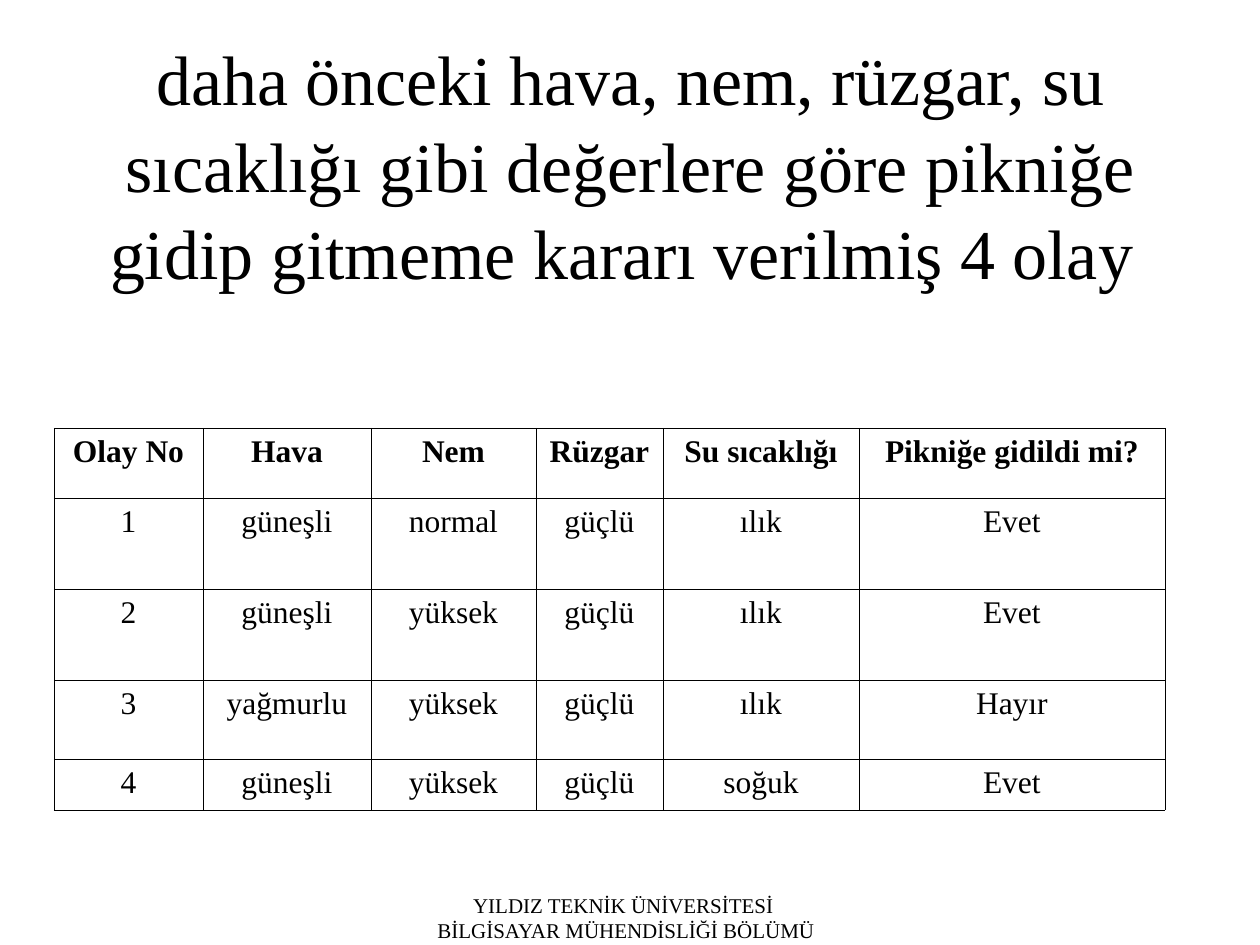
from lxml import etree
from pptx import Presentation
from pptx.dml.color import RGBColor
from pptx.enum.text import MSO_ANCHOR, MSO_AUTO_SIZE, PP_ALIGN
from pptx.oxml.ns import qn
from pptx.util import Emu, Pt

CENTER = PP_ALIGN.CENTER
MIDDLE = MSO_ANCHOR.MIDDLE
NO_AUTOFIT = MSO_AUTO_SIZE.NONE
PX = 914400 / 126
FONT = "Times New Roman"
COLORS = {"text": "000000", "border": "000000"}
INNER_BORDER, OUTER_BORDER = 0.45, 0.34


def px(*lengths):
    return [Emu(round(length * PX)) for length in lengths]


def add_text(paragraph, text, size, bold=False):
    paragraph.alignment = CENTER
    run = paragraph.add_run()
    run.text = text
    run.font.name = FONT
    run.font.size = Pt(size)
    run.font.bold = bold
    run.font.color.rgb = RGBColor.from_string(COLORS["text"])


presentation = Presentation()
presentation.slide_width, presentation.slide_height = px(1260, 945)
slide = presentation.slides.add_slide(presentation.slide_layouts[5])

title = slide.shapes.title
title.left, title.top, title.width, title.height = px(95, 84, 1071, 158)
title.text_frame.auto_size = NO_AUTOFIT
title.text_frame.vertical_anchor = MIDDLE
title_paragraph = title.text_frame.paragraphs[0]
title_paragraph.line_spacing = 1.04
add_text(
    title_paragraph,
    "daha önceki hava, nem, rüzgar, su sıcaklığı gibi değerlere göre "
    "pikniğe gidip gitmeme kararı verilmiş 4 olay ",
    40,
)

events = [
    ["Olay No", "Hava", "Nem", "Rüzgar", "Su sıcaklığı", "Pikniğe gidildi mi?"],
    ["1", "güneşli", "normal", "güçlü", "ılık", "Evet"],
    ["2", "güneşli", "yüksek", "güçlü", "ılık", "Evet"],
    ["3", "yağmurlu", "yüksek", "güçlü", "ılık", "Hayır"],
    ["4", "güneşli", "yüksek", "güçlü", "soğuk", "Evet"],
]
column_widths = [149, 168, 165, 127, 196, 306]
row_heights = [70, 91, 91, 79, 51]
last_row, last_column = len(row_heights) - 1, len(column_widths) - 1

table = slide.shapes.add_table(
    len(row_heights), len(column_widths),
    *px(54, 428, sum(column_widths), sum(row_heights)),
).table
table.first_row = False
table.horz_banding = False
for column, width in zip(table.columns, px(*column_widths)):
    column.width = width
for row, height in zip(table.rows, px(*row_heights)):
    row.height = height

for row_index, event in enumerate(events):
    for column_index, value in enumerate(event):
        cell = table.cell(row_index, column_index)
        add_text(cell.text_frame.paragraphs[0], value, 18, bold=row_index == 0)
        outer_sides = {
            "a:lnL": column_index == 0,
            "a:lnR": column_index == last_column,
            "a:lnT": row_index == 0,
            "a:lnB": row_index == last_row,
        }
        properties = cell._tc.get_or_add_tcPr()
        for side, is_outer in outer_sides.items():
            width = Pt(OUTER_BORDER if is_outer else INNER_BORDER)
            line = etree.SubElement(properties, qn(side), w=str(width))
            fill = etree.SubElement(line, qn("a:solidFill"))
            etree.SubElement(fill, qn("a:srgbClr"), val=COLORS["border"])
        cell.fill.background()

footer = slide.shapes.add_textbox(*px(333, 886, 586, 63)).text_frame
footer.word_wrap = True
add_text(footer.paragraphs[0], "YILDIZ TEKNİK ÜNİVERSİTESİ ", 12)
add_text(footer.add_paragraph(), "BİLGİSAYAR MÜHENDİSLİĞİ BÖLÜMÜ", 12)

presentation.save("out.pptx")
